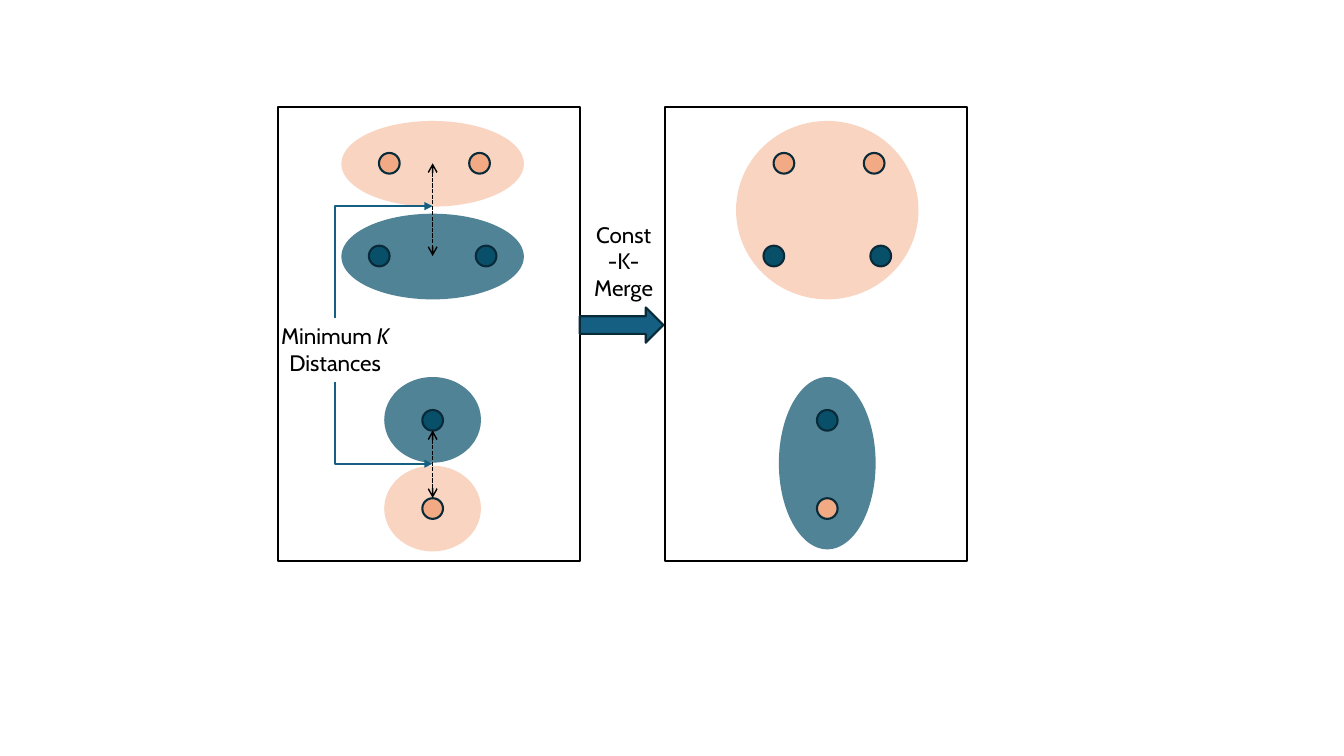
import pptx
import pptx.util
import pptx.dml.color
import pptx.enum.dml
import pptx.enum.shapes
import pptx.enum.text
import pptx.oxml
import pptx.oxml.ns

COLORS = {"peach": "F2AA84", "teal": "084F6A", "outline": "092A39",
          "blue": "156082", "black": "000000"}
OPACITY = {"peach": 50000, "teal": 70000}
UNIT = pptx.util.Inches(0.1)
DOT = 2.05
DOTS = [(-5.3, 14.8, "teal"), (5.3, 14.8, "teal"), (-4.3, 5.6, "peach"),
        (4.65, 5.6, "peach"), (0, 39.85, "peach"), (0, 31.1, "teal")]
SHAPES = pptx.enum.shapes.MSO_SHAPE


def grid(*values):
    return [round(value * UNIT) for value in values]


def color(name):
    return pptx.dml.color.RGBColor.from_string(COLORS[name])


def apply(target, values):
    for name, value in values.items():
        setattr(target, name, value)


def add_element(parent, tag, **attributes):
    element = pptx.oxml.parse_xml(f"<a:{tag} {pptx.oxml.ns.nsdecls('a')}/>")
    for name, value in attributes.items():
        element.set(name, str(value))
    parent.append(element)


def add_shape(slide, kind, box, fill=None, line=None, opacity=None):
    shape = slide.shapes.add_shape(kind, *grid(*box))
    shape.shadow.inherit = False
    if fill:
        shape.fill.solid()
        shape.fill.fore_color.rgb = color(fill)
    else:
        shape.fill.background()
    if opacity:
        add_element(shape.fill._xPr.find(".//" + pptx.oxml.ns.qn("a:srgbClr")),
                    "alpha", val=opacity)
    if line:
        shape.line.color.rgb = color(line)
        shape.line.width = pptx.util.Pt(1.5)
    else:
        shape.line.fill.background()


def add_arrow(slide, kind, start, end, line, values, heads):
    connector = slide.shapes.add_connector(kind, *grid(*start, *end))
    connector.line.color.rgb = color(line)
    apply(connector.line, values)
    for tag, style in heads.items():
        add_element(connector.line._get_or_add_ln(), tag, type=style)
    add_element(connector._element.spPr, "effectLst")
    return connector


def add_label(slide, box, runs):
    text_box = slide.shapes.add_textbox(*grid(*box))
    text_box.text_frame.word_wrap = True
    paragraph = text_box.text_frame.paragraphs[0]
    paragraph.alignment = pptx.enum.text.PP_ALIGN.CENTER
    for text, italic in runs:
        run = paragraph.add_run()
        run.text = text
        apply(run.font, {"name": "Cabin", "size": pptx.util.Pt(16), "italic": italic})
        run.font.color.rgb = color("black")


def add_panel(slide, box, axis, clusters):
    left, top, width, height = box
    center = left + axis
    for row, cluster_width, cluster_height, fill in clusters:
        add_shape(slide, SHAPES.OVAL,
                  (center - cluster_width / 2, top + row, cluster_width, cluster_height),
                  fill, opacity=OPACITY[fill])
    for offset, row, fill in DOTS:
        add_shape(slide, SHAPES.OVAL,
                  (center + offset - DOT / 2, top + row - DOT / 2, DOT, DOT), fill, "outline")
    add_shape(slide, SHAPES.RECTANGLE, box, line="black")


def add_bent_arrow(slide, start, end):
    center_x, center_y = (start[0] + end[0]) / 2, (start[1] + end[1]) / 2
    across, down = end[0] - start[0], end[1] - start[1]
    connector = add_arrow(slide, pptx.enum.shapes.MSO_CONNECTOR.ELBOW,
                          (center_x + down / 2, center_y - across / 2),
                          (center_x - down / 2, center_y + across / 2), "blue",
                          {"width": pptx.util.Pt(1.5)}, {"tailEnd": "triangle"})
    properties = connector._element.spPr
    properties.find(pptx.oxml.ns.qn("a:xfrm")).set("rot", str(270 * 60000))
    properties.find(pptx.oxml.ns.qn("a:prstGeom")).set("prst", "bentConnector2")


def add_distances(slide, box, axis):
    left, top, width, height = box
    center = left + axis
    for first, last in ((5.6, 14.8), (32.1, 38.8)):
        add_arrow(slide, pptx.enum.shapes.MSO_CONNECTOR.STRAIGHT,
                  (center, top + first), (center, top + last), "black",
                  {"width": pptx.util.Pt(1),
                   "dash_style": pptx.enum.dml.MSO_LINE.SQUARE_DOT},
                  {"headEnd": "arrow", "tailEnd": "arrow"})
    label_left, label_top, label_width, label_height = left - 0.95, top + 20.9, 13.3, 6.4
    add_label(slide, (label_left, label_top, label_width, label_height),
              [("Minimum ", False), ("K", True), (" Distances", False)])
    label_center = label_left + label_width / 2
    for start, end in ((label_top, top + 9.85), (label_top + label_height, top + 35.4)):
        add_bent_arrow(slide, (label_center, start), (center, end))


def add_merge_step(slide, box):
    left, top, width, height = box
    add_shape(slide, SHAPES.RIGHT_ARROW, (left, top + 9.1, width, 3.5), "blue", "outline")
    add_label(slide, (left + 0.25, top, width - 0.1, 9.1), [("Const-K-Merge", False)])


def main():
    presentation = pptx.Presentation()
    apply(presentation, {"slide_width": pptx.util.Inches(13.33),
                         "slide_height": pptx.util.Inches(7.5)})
    slide = presentation.slides.add_slide(presentation.slide_layouts[6])
    before, after = (27.55, 10.6, 30, 45.05), (65.95, 10.6, 30, 45.05)
    add_panel(slide, before, 15.36,
              [(35.6, 9.6, 8.5, "peach"), (26.8, 9.6, 8.5, "teal"),
               (10.6, 18.1, 8.5, "teal"), (1.4, 18.1, 8.5, "peach")])
    add_distances(slide, before, 15.36)
    add_merge_step(slide, (57.5, 21.4, 8.3, 12.6))
    add_panel(slide, after, 16.1,
              [(26.8, 9.6, 17.1, "teal"), (1.4, 18.1, 17.7, "peach")])
    presentation.save("out.pptx")


if __name__ == "__main__":
    main()
